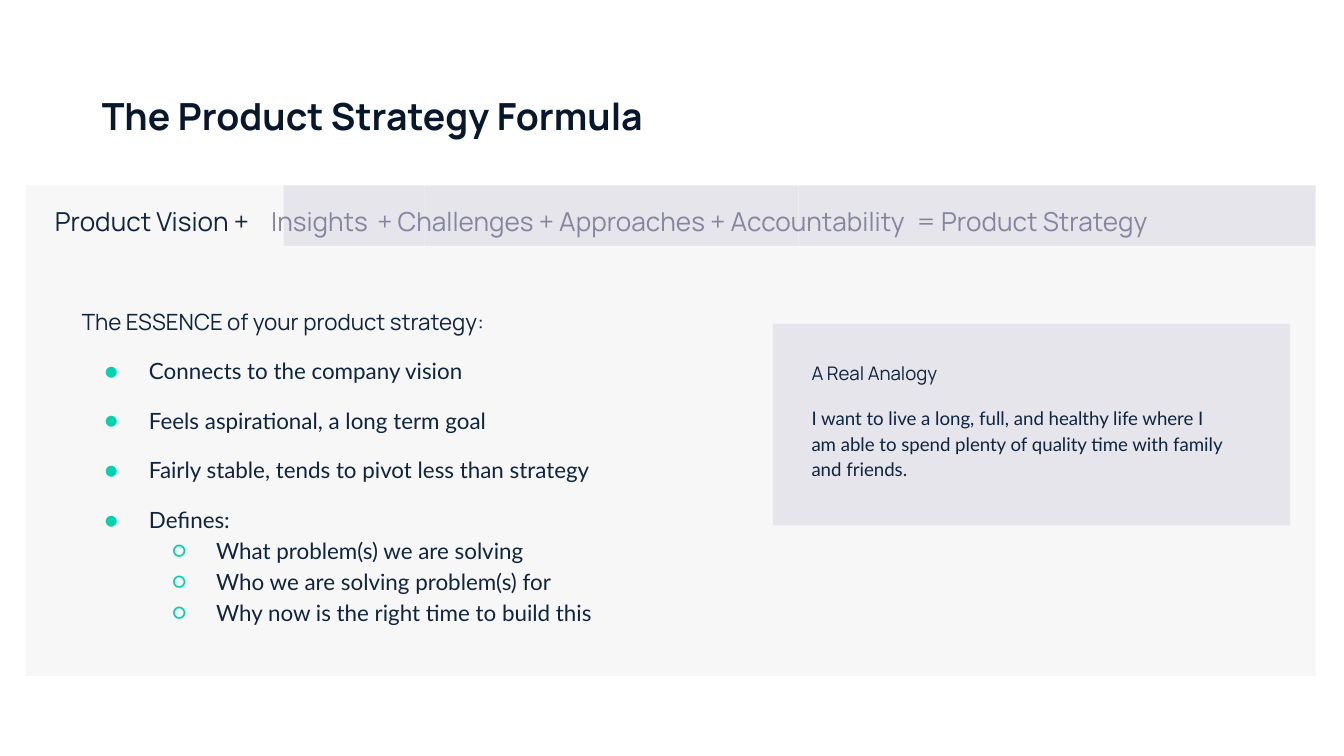
import lxml.etree
import pptx
import pptx.dml.color
import pptx.enum.shapes
import pptx.oxml.ns
import pptx.util

Inches = pptx.util.Inches

COLORS = {
    "title": "07182C",
    "text": "0F243E",
    "muted": "85859F",
    "accent": "00D3AD",
    "panel": "F7F7F8",
    "band": "E5E5EB",
}
HEADING_FONT = "Manrope"
BODY_FONT = "Lato"

TITLE = "The Product Strategy Formula"
FORMULA = [
    ("Product Vision +\t", "text"),
    ("Insights\t+ Challenges + Approaches + Accountability\t= Product Strategy", "muted"),
]
FORMULA_TABS = [1.61, 2.4, 6.41]
BAND_LEFT, BAND_TOP, BAND_HEIGHT = 0.19, 1.38, 0.46
BAND_SEGMENTS = [
    (1.92, "panel"),
    (1.05, "band"),
    (1.35, "band"),
    (1.43, "band"),
    (1.74, "band"),
    (2.11, "band"),
]
ESSENCE_HEADING = "The ESSENCE of your product strategy:"
ESSENCE_POINTS = [
    "Connects to the company vision",
    "Feels aspirational, a long term goal",
    "Fairly stable, tends to pivot less than strategy",
    "Defines:",
]
DEFINITIONS = [
    "What problem(s) we are solving",
    "Who we are solving problem(s) for",
    "Why now is the right time to build this",
]
ANALOGY_HEADING = "A Real Analogy"
ANALOGY = (
    "I want to live a long, full, and healthy life where I am able to spend "
    "plenty of quality time with family and friends."
)


def color(name):
    return pptx.dml.color.RGBColor.from_string(COLORS[name])


def add_element(parent, tag, **attributes):
    element = lxml.etree.SubElement(parent, pptx.oxml.ns.qn(tag))
    for name, value in attributes.items():
        element.set(name, str(value))
    return element


def add_rectangle(slide, left, top, width, height, fill):
    shape = slide.shapes.add_shape(
        pptx.enum.shapes.MSO_SHAPE.RECTANGLE,
        Inches(left), Inches(top), Inches(width), Inches(height),
    )
    shape.shadow.inherit = False
    shape.fill.solid()
    shape.fill.fore_color.rgb = color(fill)
    shape.line.fill.background()


def add_text_box(slide, left, top, width, height):
    box = slide.shapes.add_textbox(Inches(left), Inches(top), Inches(width), Inches(height))
    frame = box.text_frame
    frame.word_wrap = True
    frame.margin_left = frame.margin_right = Inches(0.1)
    frame.margin_top = frame.margin_bottom = Inches(0.1)
    return frame


def add_text(frame, text, size, font=HEADING_FONT, fill="text", bold=False,
             spacing=1.15, before=0, after=0, bullet=None, level=0, tabs=()):
    first = not frame.paragraphs[0].runs
    paragraph = frame.paragraphs[0] if first else frame.add_paragraph()
    paragraph.level = level
    paragraph.line_spacing = spacing
    paragraph.space_before = pptx.util.Pt(before)
    paragraph.space_after = pptx.util.Pt(after)
    properties = paragraph._p.get_or_add_pPr()
    if bullet:
        properties.set("marL", str(Inches(0.5 * (level + 1))))
        properties.set("indent", str(Inches(-0.33)))
        bullet_color = add_element(properties, "a:buClr")
        add_element(bullet_color, "a:srgbClr", val=COLORS["accent"])
        add_element(properties, "a:buFont", typeface=font)
        add_element(properties, "a:buChar", char=bullet)
    if tabs:
        tab_list = add_element(properties, "a:tabLst")
        for position in tabs:
            add_element(tab_list, "a:tab", pos=Inches(position), algn="l")
    parts = [(text, fill)] if isinstance(text, str) else text
    for part, part_fill in parts:
        run = paragraph.add_run()
        run.text = part
        run.font.name = font
        run.font.size = pptx.util.Pt(size)
        run.font.bold = bold
        run.font.color.rgb = color(part_fill)


def main():
    presentation = pptx.Presentation()
    presentation.slide_width = Inches(10)
    presentation.slide_height = Inches(10) * 9 // 16
    slide = presentation.slides.add_slide(presentation.slide_layouts[6])

    left = BAND_LEFT
    for width, fill in BAND_SEGMENTS:
        add_rectangle(slide, left, BAND_TOP, width, BAND_HEIGHT, fill)
        left += width
    add_rectangle(slide, BAND_LEFT, 1.83, 9.6, 3.2, "panel")

    essence = add_text_box(slide, 0.51, 2.16, 5.05, 2.57)
    add_text(essence, ESSENCE_HEADING, 12)
    for point in ESSENCE_POINTS:
        add_text(essence, point, 12, font=BODY_FONT, before=10, bullet="●")
    for definition in DEFINITIONS:
        add_text(essence, definition, 12, font=BODY_FONT, bullet="○", level=1)

    title = add_text_box(slide, 0.66, 0.59, 8.4, 0.63)
    add_text(title, TITLE, 20, fill="title", bold=True, spacing=1.0)

    formula = add_text_box(slide, 0.31, 1.39, 9.4, 0.44)
    add_text(formula, FORMULA, 14, after=10, tabs=FORMULA_TABS)

    add_rectangle(slide, 5.75, 2.41, 3.85, 1.5, "band")
    analogy = add_text_box(slide, 5.94, 2.57, 3.3, 1.06)
    add_text(analogy, ANALOGY_HEADING, 10)
    add_text(analogy, ANALOGY, 10, font=BODY_FONT, before=10, after=10)

    presentation.save("out.pptx")


if __name__ == "__main__":
    main()
